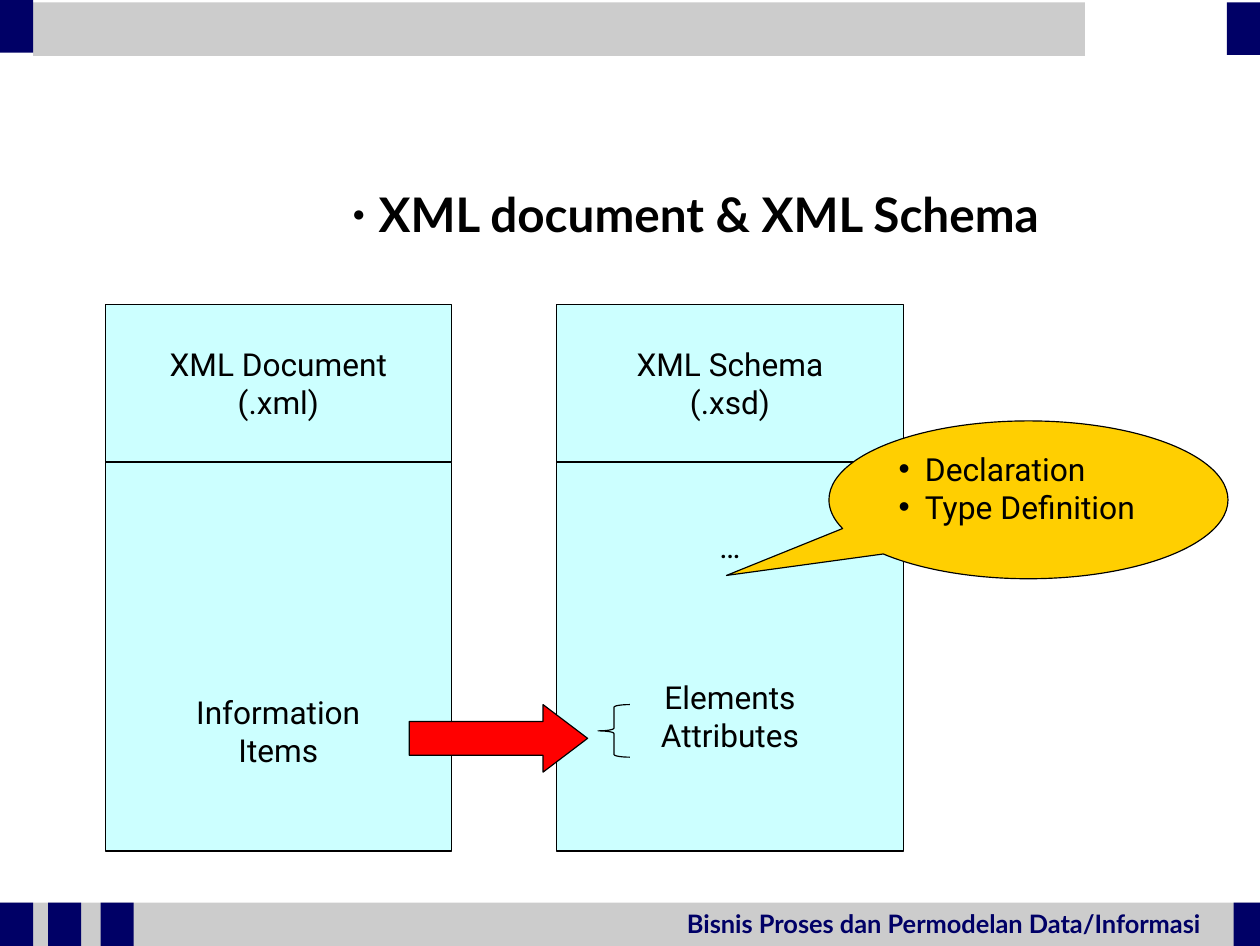
from dataclasses import dataclass

from lxml import etree
from pptx import Presentation
from pptx.dml.color import RGBColor
from pptx.enum.shapes import MSO_SHAPE as Preset
from pptx.enum.text import MSO_ANCHOR as Anchor, MSO_AUTO_SIZE as AutoSize, PP_ALIGN as Align
from pptx.oxml.ns import qn
from pptx.util import Inches, Pt


@dataclass(frozen=True)
class Theme:
    """Colours, fonts and type sizes of the slide."""
    black: str = "000000"
    navy: str = "000066"
    grey: str = "CCCCCC"
    panel: str = "CCFFFF"
    callout: str = "FFCF01"
    arrow: str = "FF0000"
    heading_font: str = "Lato"
    body_font: str = "Roboto"
    title_size: float = 30
    body_size: float = 19.9
    callout_size: float = 20
    footer_size: float = 16
    line_width: float = 0.75


THEME = Theme()


def add_span(para, text, size, font=THEME.body_font, color=THEME.black, bold=False):
    """Add one formatted run to a paragraph."""
    span = para.add_run()
    span.text = text
    span.font.name = font
    span.font.size = Pt(size)
    span.font.bold = bold
    span.font.color.rgb = RGBColor.from_string(color)


def set_bullet(para, symbol, percent=100):
    """Give a paragraph a black bullet with a hanging indent."""
    props = para._p.get_or_add_pPr()
    props.set("marL", str(Inches(0.23)))
    props.set("indent", str(Inches(-0.23)))
    color = etree.SubElement(props, qn("a:buClr"))
    etree.SubElement(color, qn("a:srgbClr"), val=THEME.black)
    etree.SubElement(props, qn("a:buSzPct"), val=str(percent * 1000))
    etree.SubElement(props, qn("a:buFont"), typeface="Arial")
    etree.SubElement(props, qn("a:buChar"), char=symbol)


def add_figure(page, preset, place, fill=None, outlined=True, adjustments=()):
    """Add a preset shape at left, top, width, height."""
    figure = page.shapes.add_shape(preset, *map(Inches, place))
    figure.shadow.inherit = False
    for index, value in enumerate(adjustments):
        figure.adjustments[index] = value
    if fill:
        figure.fill.solid()
        figure.fill.fore_color.rgb = RGBColor.from_string(fill)
    else:
        figure.fill.background()
    if outlined:
        figure.line.color.rgb = RGBColor.from_string(THEME.black)
        figure.line.width = Pt(THEME.line_width)
    else:
        figure.line.fill.background()
    return figure


def write_lines(frame, lines, size, align, bullet=None):
    """Write one paragraph per line and return the paragraphs."""
    for index, line in enumerate(lines):
        para = frame.paragraphs[0] if index == 0 else frame.add_paragraph()
        para.alignment = align
        if bullet:
            set_bullet(para, bullet)
        add_span(para, line, size)
    return frame.paragraphs


def add_panel(page, place, lines, bottom=None):
    """Add a panel with centred lines, in the middle or raised from the bottom."""
    frame = add_figure(page, Preset.RECTANGLE, place, THEME.panel).text_frame
    frame.word_wrap = False
    frame.vertical_anchor = Anchor.MIDDLE if bottom is None else Anchor.BOTTOM
    if bottom is not None:
        frame.margin_bottom = Inches(bottom)
    return write_lines(frame, lines, THEME.body_size, Align.CENTER)


def add_bands(page):
    """Add the grey bands and navy blocks at the top and bottom."""
    for place in ((0, 7.89, 11.02, 0.38), (0.29, 0.02, 9.2, 0.47)):
        add_figure(page, Preset.RECTANGLE, place, THEME.grey, outlined=False)
    for left, width in ((0, 0.29), (0.42, 0.29), (0.88, 0.29), (10.79, 0.23)):
        add_figure(page, Preset.RECTANGLE, (left, 7.89, width, 0.38), THEME.navy, outlined=False)
    for left, top in ((0, 0), (10.73, 0.02)):
        add_figure(page, Preset.RECTANGLE, (left, top, 0.29, 0.46), THEME.navy, outlined=False)


def add_footer(page, text):
    """Add the course name on the bottom band."""
    frame = page.shapes.add_textbox(*map(Inches, (5.91, 7.89, 4.72, 0.36))).text_frame
    frame.word_wrap = True
    frame.margin_right = 0
    add_span(frame.paragraphs[0], text, THEME.footer_size, THEME.heading_font, THEME.navy, True)


def set_title(page, text):
    """Place the title placeholder and write its bulleted heading."""
    title = page.shapes.title
    title.left, title.top, title.width, title.height = map(Inches, (1.39, 0.74, 9.39, 1.38))
    frame = title.text_frame
    frame.auto_size = AutoSize.NONE
    frame.word_wrap = True
    frame.vertical_anchor = Anchor.BOTTOM
    frame.margin_left = frame.margin_top = frame.margin_right = frame.margin_bottom = 0
    para = frame.paragraphs[0]
    para.alignment = Align.CENTER
    set_bullet(para, "●", 45)
    add_span(para, text, THEME.title_size, THEME.heading_font, bold=True)


def add_callout(page, lines):
    """Add the oval callout with its bulleted lines."""
    place = (7.25, 3.68, 3.49, 1.38)
    callout = add_figure(page, Preset.OVAL_CALLOUT, place, THEME.callout,
                         adjustments=(-0.757, 0.479))
    frame = callout.text_frame
    frame.word_wrap = True
    frame.vertical_anchor = Anchor.TOP
    write_lines(frame, lines, THEME.callout_size, Align.LEFT, "•")


def main():
    """Build the slide and save the deck."""
    deck = Presentation()
    deck.slide_width, deck.slide_height = Inches(11.02), Inches(8.27)
    page = deck.slides.add_slide(deck.slide_layouts[5])
    add_bands(page)
    add_footer(page, "Bisnis Proses dan Permodelan Data/Informasi")
    set_title(page, "XML document & XML Schema")

    columns = (
        (0.92, ("XML Document", "(.xml)"), ("Information", "Items"), 0.72),
        (4.87, ("XML Schema", "(.xsd)"), ("…", "Elements", "Attributes"), 0.85),
    )
    for left, heading, content, bottom in columns:
        add_panel(page, (left, 2.66, 3.03, 1.38), heading)
        body = add_panel(page, (left, 4.04, 3.03, 3.4), content, bottom)
    body[1].space_before = Pt(71)

    add_callout(page, ("Declaration", "Type Definition"))
    add_figure(page, Preset.LEFT_BRACE, (5.23, 6.16, 0.28, 0.46))
    add_figure(page, Preset.RIGHT_ARROW, (3.58, 6.16, 1.56, 0.59), THEME.arrow,
               adjustments=(0.5, 0.66))
    deck.save("out.pptx")


if __name__ == "__main__":
    main()
